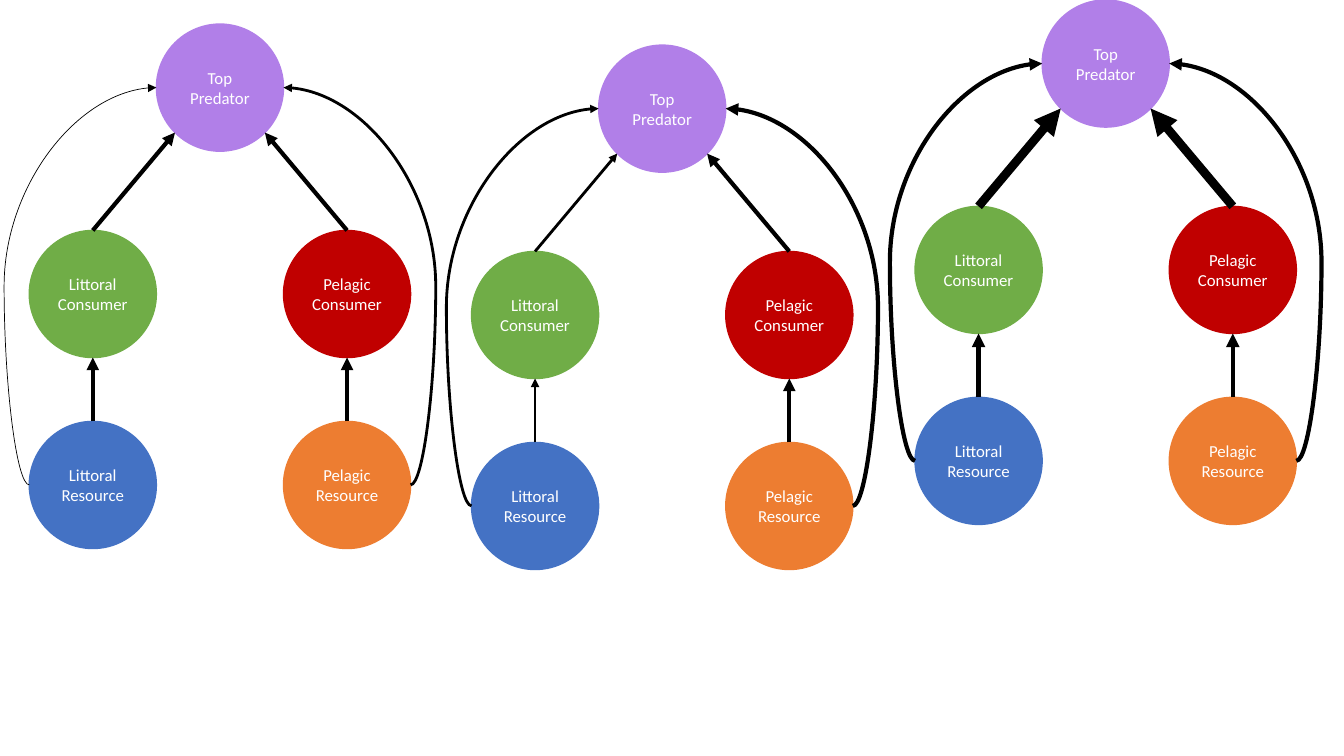
from math import sqrt
from lxml.etree import SubElement as Sub
from pptx import Presentation
from pptx.dml.color import RGBColor
from pptx.enum.shapes import MSO_CONNECTOR as Link, MSO_SHAPE as Shape
from pptx.enum.text import MSO_ANCHOR as Anchor, PP_ALIGN as Align
from pptx.oxml.ns import qn
from pptx.util import Pt

SIZE = 90.8
HALF = SIZE / 2
DIAG = HALF / sqrt(2)
MID = 147.4
LOW = 283.8
BULGE = -0.198

WEBS = [
    (20.9, 17.2, (3, 3, 0.5), (3, 3, 0)),
    (336.8, 32.2, (0, 0, 0), (3, 3, 3)),
    (653.6, 0, (3.25, 6.25, 3), (3.25, 6.25, 3)),
]
SIDES = [
    ("Littoral", -1, "70AD47", "4472C4"),
    ("Pelagic", 1, "C00000", "ED7D31"),
]


def tint(code):
    return RGBColor.from_string(code)


class Sheet:
    font = "Calibri"
    size = 12
    ink = "000000"
    pale = "FFFFFF"

    def __init__(self, slide):
        self.slide = slide

    def disc(self, text, x, y, fill):
        disc = self.slide.shapes.add_shape(
            Shape.OVAL, Pt(x - HALF), Pt(y), Pt(SIZE), Pt(SIZE))
        disc.shadow.inherit = False
        disc.fill.solid()
        disc.fill.fore_color.rgb = tint(fill)
        disc.line.color.rgb = tint(fill)
        disc.line.width = Pt(1)
        frame = disc.text_frame
        frame.word_wrap = True
        frame.vertical_anchor = Anchor.MIDDLE
        frame.margin_left = frame.margin_right = Pt(3.6)
        frame.text = text
        for para in frame.paragraphs:
            para.alignment = Align.CENTER
            para.font.name = self.font
            para.font.size = Pt(self.size)
            para.font.color.rgb = tint(self.pale)

    def arrow(self, start, end, width, kind=Link.STRAIGHT):
        line = self.slide.shapes.add_connector(
            kind, *(Pt(n) for n in (*start, *end)))
        line.line.color.rgb = tint(self.ink)
        line.line.width = Pt(width)
        props = line._element.spPr
        Sub(props.find(qn("a:ln")), qn("a:tailEnd"), type="triangle")
        Sub(props, qn("a:effectLst"))
        return line

    def curve(self, start, end, width):
        line = self.arrow(start, end, width, Link.CURVE)
        geom = line._element.spPr.find(qn("a:prstGeom"))
        geom.set("prst", "curvedConnector3")
        Sub(geom.find(qn("a:avLst")), qn("a:gd"), name="adj1",
            fmla=f"val {round(BULGE * 100000)}")

    def web(self, left, top, *widths):
        hub = left + 1.5 * SIZE
        core = top + HALF
        self.disc("Top Predator", hub, top, "B17FE8")
        for (zone, side, eater, food), (feed, hunt, skip) in zip(SIDES, widths):
            x = hub + side * SIZE
            self.disc(f"{zone}\nConsumer", x, top + MID, eater)
            self.disc(f"{zone} Resource", x, top + LOW, food)
            self.arrow((x, top + LOW), (x, top + MID + SIZE), feed)
            self.arrow((x, top + MID), (hub + side * DIAG, core + DIAG), hunt)
            self.curve((x + side * HALF, top + LOW + HALF),
                       (hub + side * HALF, core), skip)


def main():
    deck = Presentation()
    deck.slide_width, deck.slide_height = Pt(960), Pt(540)
    sheet = Sheet(deck.slides.add_slide(deck.slide_layouts[6]))
    for web in WEBS:
        sheet.web(*web)
    deck.save("out.pptx")


if __name__ == "__main__":
    main()
